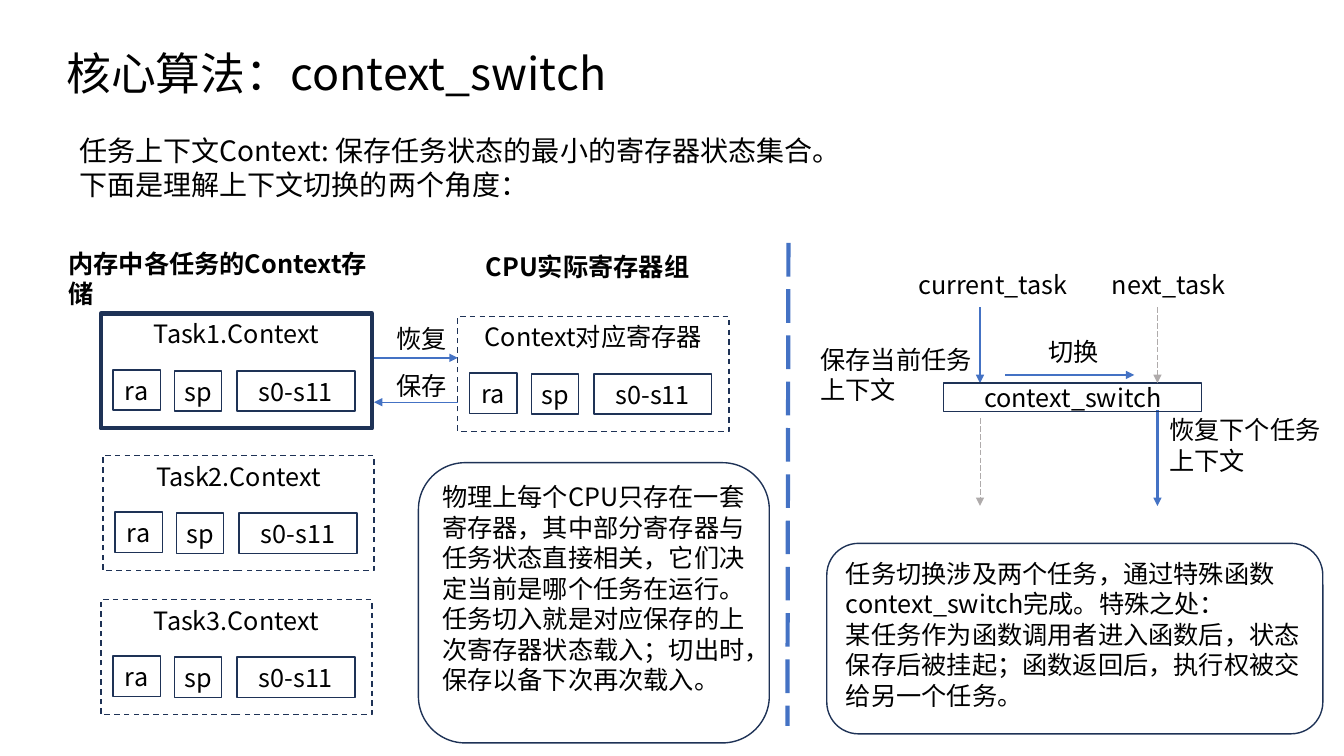
from lxml import etree
from pptx import Presentation
from pptx.dml.color import RGBColor
from pptx.enum import dml, shapes, text
from pptx.oxml import ns
from pptx import util as u

COLORS = {"ink": "000000", "paper": "FFFFFF", "frame": "1E3256",
          "flow": "4472C4", "idle": "AFABAB"}
DASH = dml.MSO_LINE.DASH
LONG_DASH = dml.MSO_LINE.LONG_DASH
RECTANGLE = shapes.MSO_SHAPE.RECTANGLE
ROUNDED = shapes.MSO_SHAPE.ROUNDED_RECTANGLE
TOP, MIDDLE = text.MSO_ANCHOR.TOP, text.MSO_ANCHOR.MIDDLE
LEFT, CENTER = text.PP_ALIGN.LEFT, text.PP_ALIGN.CENTER
REGISTERS = [("ra", 1.2, 5.6, 4.7), ("sp", 7.3, 5.7, 4.7),
             ("s0-s11", 13.5, 5.7, 11.7)]


class Painter:
    """Draws on one page; lengths are columns and rows of 0.1 inch."""
    cell = u.Inches(0.1)
    font = "Noto Sans CJK SC"
    leading = 1.21

    def __init__(self, page):
        self.page = page

    def grid(self, *cells):
        return [round(count * self.cell) for count in cells]

    def color(self, name):
        return RGBColor.from_string(COLORS[name])

    def stroke(self, line, color, width, dash=None):
        line.color.rgb = self.color(color)
        line.width = u.Pt(width)
        if dash is not None:
            line.dash_style = dash

    def typeset(self, frame, words, size, bold, align, anchor):
        frame.word_wrap = True
        frame.vertical_anchor = anchor
        frame.text = words
        for para in frame.paragraphs:
            para.alignment = align
            para.line_spacing = u.Pt(round(size * self.leading, 1))
            para.font.size = u.Pt(size)
            para.font.bold = bold
            para.font.color.rgb = self.color("ink")
            para.font.name = self.font
            defaults = para._p.pPr.find(ns.qn("a:defRPr"))
            etree.SubElement(defaults, ns.qn("a:ea"), typeface=self.font)

    def label(self, place, words, size=18, bold=False):
        box = self.page.shapes.add_textbox(*self.grid(*place))
        self.typeset(box.text_frame, words, size, bold, LEFT, TOP)

    def box(self, place, words, kind=RECTANGLE, width=1, dash=None,
            align=CENTER, anchor=MIDDLE, filled=True):
        box = self.page.shapes.add_shape(kind, *self.grid(*place))
        box.shadow.inherit = False
        if filled:
            box.fill.solid()
            box.fill.fore_color.rgb = self.color("paper")
        else:
            box.fill.background()
        self.stroke(box.line, "frame", width, dash)
        self.typeset(box.text_frame, words, 18, False, align, anchor)

    def note(self, place, words):
        self.box(place, words, kind=ROUNDED, align=LEFT, anchor=TOP)

    def line(self, start, end, color="flow", width=1.5, dash=None, arrow=True):
        line = self.page.shapes.add_connector(
            shapes.MSO_CONNECTOR.STRAIGHT, *self.grid(*start, *end))
        self.stroke(line.line, color, width, dash)
        properties = line._element.spPr
        if arrow:
            etree.SubElement(properties.find(ns.qn("a:ln")),
                             ns.qn("a:tailEnd"), type="triangle")
        etree.SubElement(properties, ns.qn("a:effectLst"))

    def context(self, left, top, title, width=1, dash=DASH):
        """A task context with its three register cells."""
        self.box((left, top, 26.9, 11.4), title, width=width, dash=dash,
                 anchor=TOP)
        for name, across, down, span in REGISTERS:
            self.box((left + across, top + down, span, 4), name)


deck = Presentation()
deck.slide_width, deck.slide_height = u.Inches(13.33), u.Inches(7.5)
painter = Painter(deck.slides.add_slide(deck.slide_layouts[6]))

# Title, introduction and divider
painter.label((5.6, 4, 109, 6.4), "核心算法：context_switch", size=32)
painter.label((6.9, 12.7, 95.3, 7.7),
              "任务上下文Context: 保存任务状态的最小的寄存器状态集合。\n"
              "下面是理解上下文切换的两个角度：", size=20)
painter.line((78.2, 24.1), (78.1, 72), width=3, dash=LONG_DASH, arrow=False)

# Contexts in memory and the CPU registers
painter.label((47.2, 24.4, 24, 4), "CPU实际寄存器组", bold=True)
painter.label((5.8, 24.1, 33.9, 4), "内存中各任务的Context存储", bold=True)
painter.context(45.4, 31.4, "Context对应寄存器")
painter.context(10, 31.1, "Task1.Context", width=3, dash=None)
painter.context(10.2, 45.2, "Task2.Context")
painter.context(10, 59.5, "Task3.Context")

# Restore and save between memory and CPU
memory_edge, cpu_edge = 37.1, 45.4
painter.line((memory_edge, 35.5), (cpu_edge, 35.5))
painter.line((cpu_edge, 39.9), (memory_edge, 39.9), width=0.5)
for top, words in [(31.6, "恢复"), (36.2, "保存")]:
    painter.label((38.3, top, 9, 4), words)

# Switch from the current task to the next one
current, following = 97.2, 114.8
painter.label((90.1, 26.2, 19.3, 4), "current_task")
painter.label((109.3, 26.2, 13.4, 4), "next_task")
painter.line((current, 30.5), (current, 38))
painter.line((following, 40.7), (following, 50.2))
painter.box((93.6, 38, 25.6, 2.8), "context_switch", filled=False)
for column, start, end in [(following, 30.5, 38), (current, 41.5, 50.2)]:
    painter.line((column, start), (column, end), "idle", 0.5, LONG_DASH)
painter.label((80.4, 33.6, 19.3, 7.1), "保存当前任务\n上下文")
painter.label((115, 40.6, 17.4, 7.1), "恢复下个任务\n上下文")
painter.line((99.7, 37.2), (112.5, 37.2))
painter.label((103, 32.8, 7.4, 4), "切换")

# Explanations
painter.note((41.5, 45.9, 34.8, 27.8),
             "物理上每个CPU只存在一套寄存器，其中部分寄存器与任务状态直接相关，"
             "它们决定当前是哪个任务在运行。任务切入就是对应保存的上次寄存器状态载入；"
             "切出时，保存以备下次再次载入。")
painter.note((82, 53.9, 49.2, 18.9),
             "任务切换涉及两个任务，通过特殊函数context_switch完成。特殊之处：\n"
             "某任务作为函数调用者进入函数后，状态保存后被挂起；"
             "函数返回后，执行权被交给另一个任务。")

deck.save("out.pptx")
